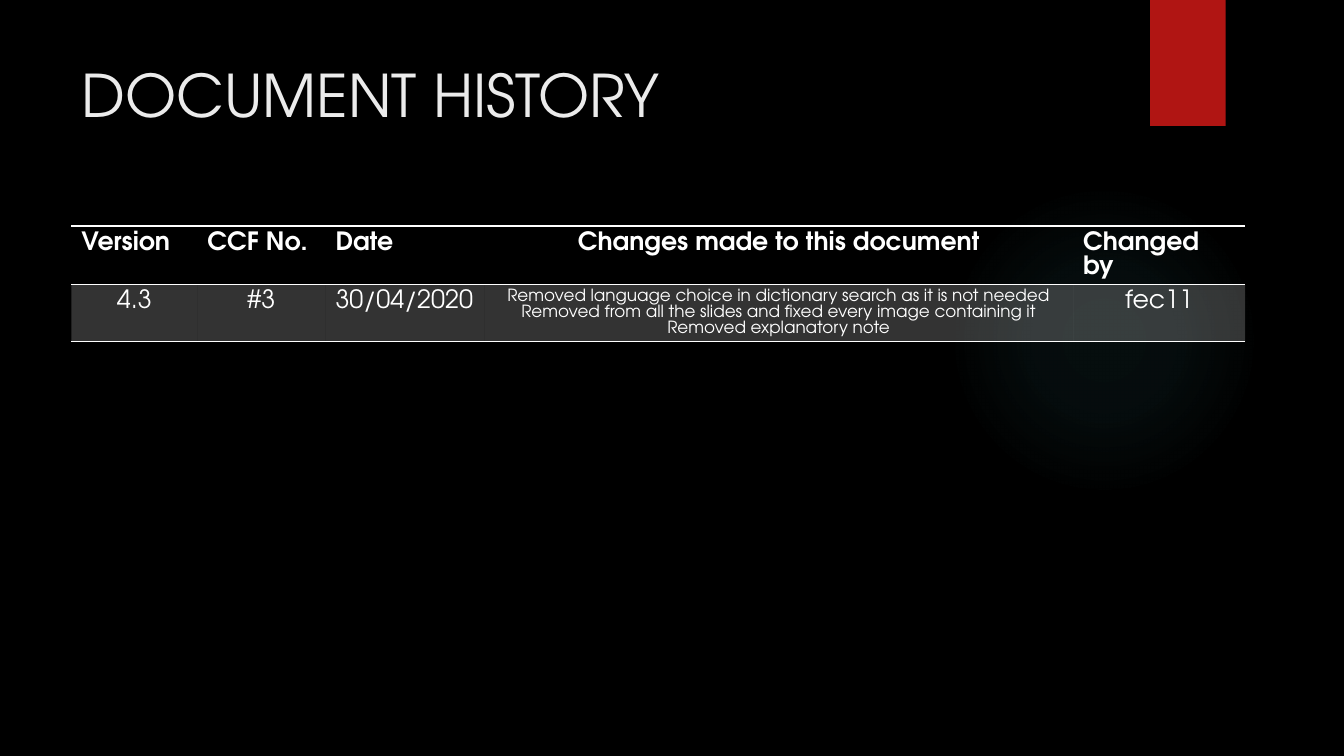
from lxml import etree
from pptx import Presentation
from pptx.dml.color import RGBColor
from pptx.enum import shapes, text
from pptx.oxml import parse_xml
from pptx.oxml.ns import nsdecls, qn
from pptx.util import Pt

FONT = "TeX Gyre Adventor"
WHITE = "FFFFFF"
NO_STYLE = "{2D5ABB26-0587-4C30-8999-92F81FD0307C}"
COLUMNS = [  # heading, width, heading centred, entry centred
    ("Version", 90, False, True),
    ("CCF No.", 91.5, False, True),
    ("Date", 113.5, False, False),
    ("Changes made to this document", 420.5, True, True),
    ("Changed by", 123, False, True),
]
CHANGES = "\n".join([
    "Removed language choice in dictionary search as it is not needed",
    "Removed from all the slides and fixed every image containing it",
    "Removed explanatory note",
])
ENTRY = ["4.3", "#3", "30/04/2020", CHANGES, "fec11"]


def color(value):
    return RGBColor.from_string(value)


def format_text(frame, size, line, shade=WHITE, bold=False, centred=False):
    for paragraph in frame.paragraphs:
        paragraph.alignment = text.PP_ALIGN.CENTER if centred else text.PP_ALIGN.LEFT
        paragraph.line_spacing = Pt(line)
        paragraph.space_before = paragraph.space_after = Pt(0)
        for run in paragraph.runs:
            run.font.name = FONT
            run.font.size = Pt(size)
            run.font.bold = bold
            run.font.color.rgb = color(shade)


def add_plain_shape(slide, kind, left, top, width, height):
    shape = slide.shapes.add_shape(kind, Pt(left), Pt(top), Pt(width), Pt(height))
    shape.shadow.inherit = False
    shape.line.fill.background()
    return shape


def add_decoration(slide, left, top, width):
    """Faint glow with a red tab hanging from the top edge."""
    glow = add_plain_shape(slide, shapes.MSO_SHAPE.OVAL, left, top, width, width)
    stops = "".join(
        f'<a:gs pos="{place * 1000}"><a:srgbClr val="50B9C1">'
        f'<a:alpha val="{alpha * 1000}"/></a:srgbClr></a:gs>'
        for place, alpha in [(0, 7), (36, 6), (69, 0), (100, 0)])
    gradient = parse_xml(
        f'<a:gradFill {nsdecls("a")}><a:gsLst>{stops}</a:gsLst><a:path path="circle">'
        '<a:fillToRect l="50000" t="50000" r="50000" b="50000"/></a:path></a:gradFill>')
    glow.element.spPr.find(qn("a:prstGeom")).addnext(gradient)

    tab = add_plain_shape(slide, shapes.MSO_SHAPE.RECTANGLE, left + 144, 0, 54, 90)
    tab.fill.solid()
    tab.fill.fore_color.rgb = color("B01513")


def add_title(slide, left, top, width, height):
    title = slide.shapes.title
    title.left, title.top = Pt(left), Pt(top)
    title.width, title.height = Pt(width), Pt(height)
    frame = title.text_frame
    frame.text = "DOCUMENT HISTORY"
    frame.vertical_anchor = text.MSO_ANCHOR.TOP
    format_text(frame, 42, 53, "EBEBEB")


def rule_cell(cell, *sides):
    """Draw white 1 pt lines on the given sides of a cell."""
    properties = cell._tc.get_or_add_tcPr()
    for position, side in enumerate(sides):
        properties.insert(position, parse_xml(
            f'<a:{side} {nsdecls("a")} w="12700"><a:solidFill>'
            f'<a:srgbClr val="{WHITE}"/></a:solidFill></a:{side}>'))


def shade_cell(cell, alpha):
    cell.fill.solid()
    cell.fill.fore_color.rgb = color(WHITE)
    tint = cell._tc.tcPr.find(".//" + qn("a:srgbClr"))
    etree.SubElement(tint, qn("a:alpha")).set("val", str(alpha * 1000))


def add_history(slide, left, top, row_height):
    width = sum(column[1] for column in COLUMNS)
    history = slide.shapes.add_table(
        2, len(COLUMNS), Pt(left), Pt(top), Pt(width), Pt(2 * row_height)).table
    history.horz_banding = False
    history._tbl.tblPr.find(qn("a:tableStyleId")).text = NO_STYLE
    for row in history.rows:
        row.height = Pt(row_height)

    for index, (name, column_width, name_centred, entry_centred) in enumerate(COLUMNS):
        history.columns[index].width = Pt(column_width)

        heading = history.cell(0, index)
        heading.text_frame.text = name
        format_text(heading.text_frame, 18, 17.2, bold=True, centred=name_centred)
        heading.fill.background()
        rule_cell(heading, "lnT", "lnB")

        entry = history.cell(1, index)
        entry.text_frame.text = ENTRY[index]
        size, line = (12, 11.2) if ENTRY[index] == CHANGES else (18, 17.2)
        format_text(entry.text_frame, size, line, centred=entry_centred)
        shade_cell(entry, 20)
        rule_cell(entry, "lnT", "lnB")


def main():
    deck = Presentation()
    deck.slide_width, deck.slide_height = Pt(960), Pt(540)
    slide = deck.slides.add_slide(deck.slide_layouts[5])
    slide.background.fill.solid()
    slide.background.fill.fore_color.rgb = color("000000")
    add_decoration(slide, 677.5, 132, 222)
    add_title(slide, 51, 36, 741, 110)
    add_history(slide, 51, 161.5, 40.5)
    deck.save("out.pptx")


if __name__ == "__main__":
    main()
